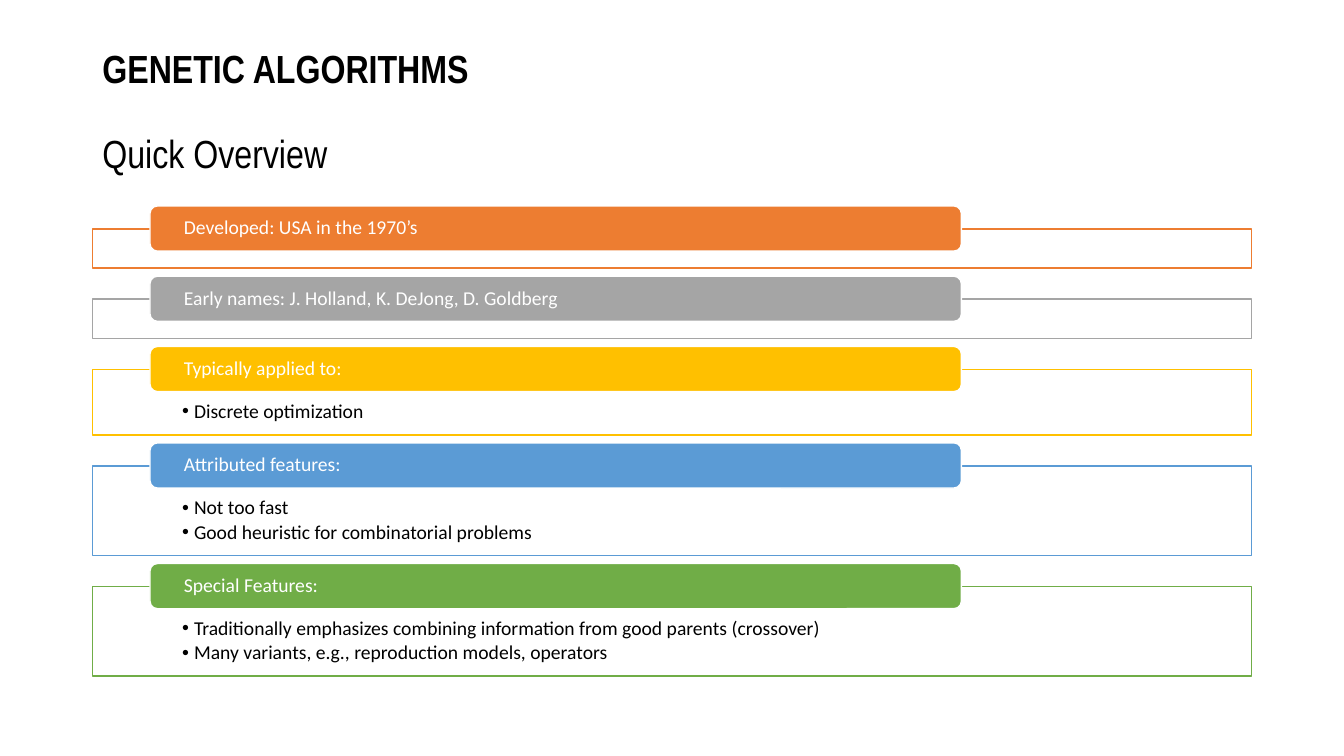
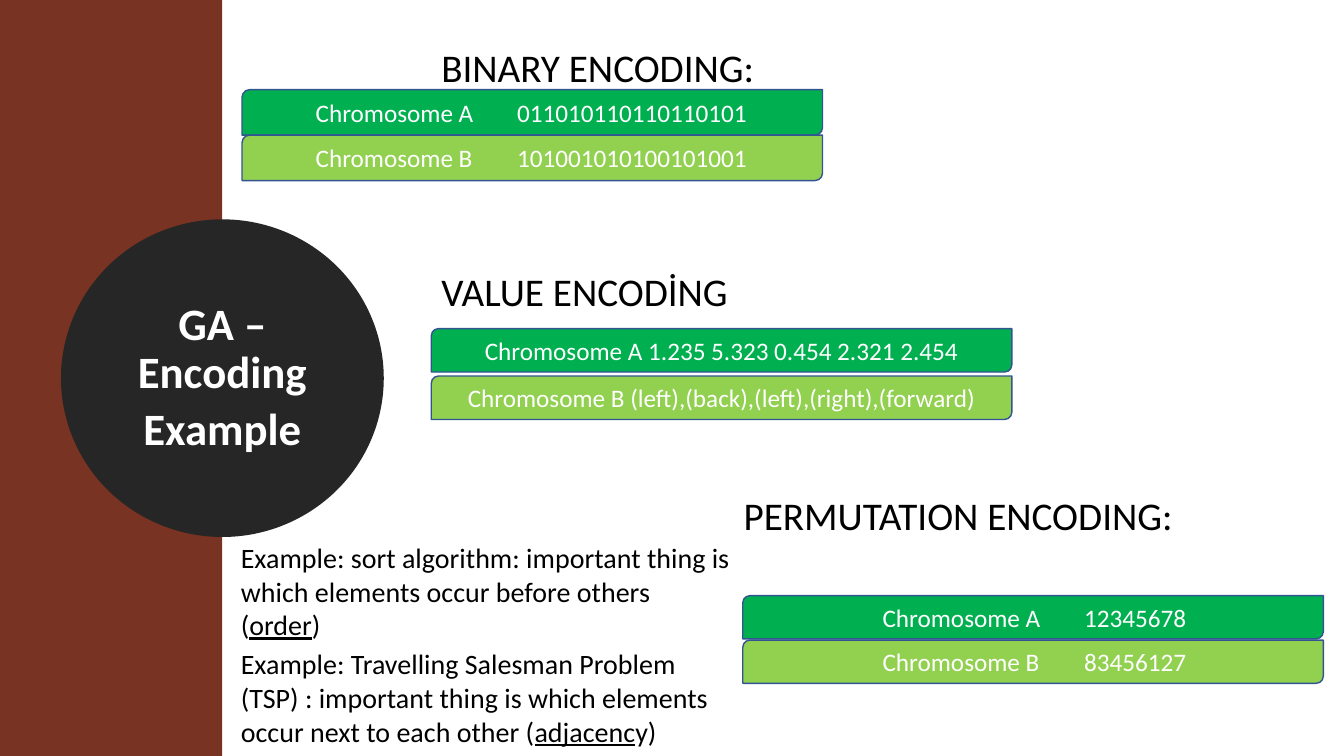
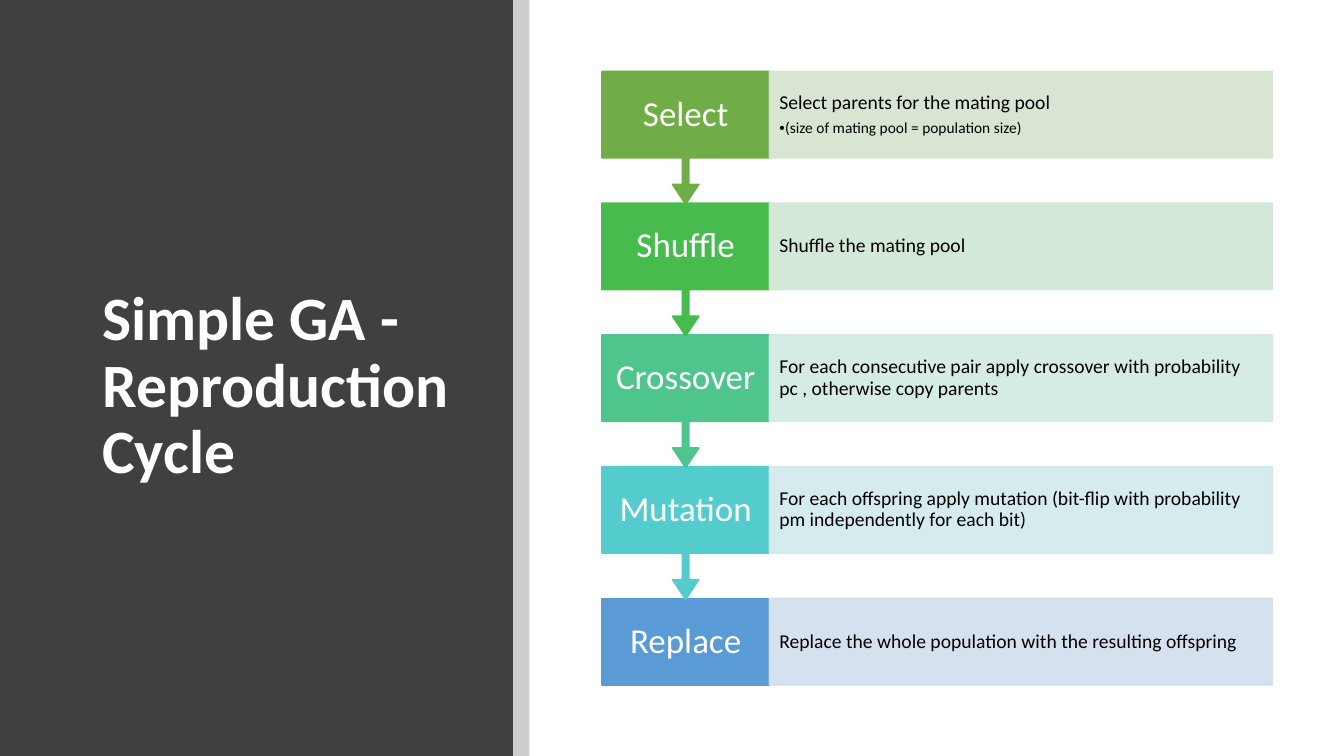
from collections import namedtuple

from pptx import Presentation
from pptx.dml.color import RGBColor
from pptx.enum.shapes import MSO_SHAPE as Shape
from pptx.enum.text import MSO_ANCHOR as Anchor, MSO_AUTO_SIZE as AutoSize, PP_ALIGN as Align
from pptx.oxml.ns import qn
from pptx.util import Cm, Pt
from lxml.etree import SubElement

Box = namedtuple("Box", "left top width height")  # centimetres

COLORS = {
    "white": "FFFFFF", "black": "000000",
    "orange": "ED7D31", "grey": "A5A5A5", "yellow": "FFC000",
    "blue": "5B9BD5", "green": "70AD47",
    "rust": "793322", "coal": "262626", "slate": "404040",
    "chromosome a": "00B050", "chromosome b": "92D050", "chromosome line": "325491",
    "shuffle": "48BB4F", "crossover": "4DC58D", "mutation": "54CCCD",
    "select tint": "D5E3CF", "shuffle tint": "D0E6D4", "crossover tint": "D0EAE1",
    "mutation tint": "D1E9ED", "replace tint": "D2DEEF",
}
SLIDE = Box(0, 0, 33.87, 19.05)
TITLE_ONLY, TITLE_AND_BODY = 5, 1


def rgb(name):
    return RGBColor.from_string(COLORS[name])


def place(shape, box):
    shape.left, shape.top, shape.width, shape.height = (Cm(length) for length in box)


def add_block(page, kind, box, fill, line=None, line_width=1, opacity=100):
    """Add a flat preset shape; opacity in percent covers fill and line."""
    block = page.shapes.add_shape(kind, *(Cm(length) for length in box))
    block.shadow.inherit = False
    block.fill.solid()
    block.fill.fore_color.rgb = rgb(fill)
    if line:
        block.line.color.rgb = rgb(line)
        block.line.width = Pt(line_width)
    else:
        block.line.fill.background()
    if opacity < 100:
        for color in block._element.spPr.iter(qn("a:srgbClr")):
            SubElement(color, qn("a:alpha")).set("val", str(opacity * 1000))
    return block


def set_frame(shape, anchor=Anchor.MIDDLE, left=0.25, top=0.13, right=0.25, bottom=0.13):
    frame = shape.text_frame
    frame.word_wrap = True
    frame.auto_size = AutoSize.NONE
    frame.vertical_anchor = anchor
    frame.margin_left, frame.margin_top = Cm(left), Cm(top)
    frame.margin_right, frame.margin_bottom = Cm(right), Cm(bottom)
    return frame


def write(frame, text, size=14, color="black", font="Calibri", bold=False, align=Align.LEFT,
          line=0.9, before=0, after=0, indent=0, bullet=False, tab=None, underline=None):
    """Add one paragraph; indent and tab are centimetres, underline is a part of the text."""
    para = frame.add_paragraph() if frame.text else frame.paragraphs[0]
    para.alignment = align
    para.line_spacing = line
    para.space_before, para.space_after = Pt(before), Pt(after)
    props = para._p.get_or_add_pPr()
    props.set("marL", str(Cm(indent)))
    props.set("indent", str(-Cm(indent) if bullet else 0))
    if bullet:
        SubElement(props, qn("a:buFont")).set("typeface", "Arial")
        SubElement(props, qn("a:buChar")).set("char", "•")
    else:
        SubElement(props, qn("a:buNone"))
    if tab:
        stop = SubElement(SubElement(props, qn("a:tabLst")), qn("a:tab"))
        stop.set("pos", str(Cm(tab)))
        stop.set("algn", "l")
    for part in text.partition(underline) if underline else (text,):
        span = para.add_run()
        span.text = part
        span.font.name, span.font.size = font, Pt(size)
        span.font.bold = bold
        span.font.underline = part == underline
        span.font.color.rgb = rgb(color)


def title_frame(page, box):
    """Move the title above the shapes drawn so far and return its text frame."""
    title = page.shapes.title
    place(title, box)
    page.shapes._spTree.append(title._element)
    return set_frame(title)


# Overview

def add_topic(page, box, heading, bullets, color):
    """Outlined panel whose heading tab straddles the top edge."""
    panel = add_block(page, Shape.RECTANGLE, box, "white", color)
    frame = set_frame(panel, Anchor.TOP, left=2.26, top=0.81, right=2.26, bottom=0.28)
    for text in bullets:
        write(frame, text, after=2.1, indent=0.3, bullet=True)
    tab_box = Box(box.left + 1.45, box.top - 0.58, 20.45, 1.14)
    tab = add_block(page, Shape.ROUNDED_RECTANGLE, tab_box, color, "white")
    write(set_frame(tab, left=0.8, top=0, bottom=0), heading, color="white")


def build_overview(deck):
    page = deck.slides.add_slide(deck.slide_layouts[TITLE_ONLY])
    frame = title_frame(page, Box(2.33, 1.01, 29.21, 3.68))
    write(frame, "GENETIC ALGORITHMS", size=28, font="Arial Narrow", bold=True)
    write(frame, "Quick Overview", size=28, font="Arial Narrow", before=30.4)
    topics = [
        ("Developed: USA in the 1970’s", [], "orange"),
        ("Early names: J. Holland, K. DeJong, D. Goldberg", [], "grey"),
        ("Typically applied to:", ["Discrete optimization"], "yellow"),
        ("Attributed features:",
         ["Not too fast", "Good heuristic for combinatorial problems"], "blue"),
        ("Special Features:",
         ["Traditionally emphasizes combining information from good parents (crossover)",
          "Many variants, e.g., reproduction models, operators"], "green"),
    ]
    top = 5.77
    for heading, bullets, color in topics:
        height = 1.04 + 0.61 * len(bullets) if bullets else 0.99
        add_topic(page, Box(2.33, top, 29.21, height), heading, bullets, color)
        top += height + 0.78


# Encodings

def add_chromosomes(page, box, texts, gap=0, inset=None, tab=None):
    """Two stacked bars; with an inset the text starts there, otherwise it is centred."""
    height = (box.height - gap) / 2
    for index, (text, color) in enumerate(zip(texts, ("chromosome a", "chromosome b"))):
        bar_box = Box(box.left, box.top + index * (height + gap), box.width, height)
        bar = add_block(page, Shape.ROUND_2_DIAG_RECTANGLE, bar_box, color, "chromosome line")
        frame = set_frame(bar, left=inset or 0.25)
        write(frame, text, size=18, color="white", line=1, tab=tab,
              align=Align.LEFT if inset else Align.CENTER)


def add_badge_title(page, box, lines):
    add_block(page, Shape.OVAL, box, "coal", "coal", line_width=13.75)
    side = 0.146
    inner = Box(box.left + side * box.width, box.top + side * box.height,
                box.width * (1 - 2 * side), box.height * (1 - 2 * side))
    frame = title_frame(page, inner)
    for text in lines:
        write(frame, text, size=32, color="white", bold=True, align=Align.CENTER, after=6)


def build_encodings(deck):
    page = deck.slides.add_slide(deck.slide_layouts[TITLE_AND_BODY])
    body = page.placeholders[1]
    place(body, Box(10.87, 1.09, 22.48, 16.84))
    frame = set_frame(body, Anchor.TOP)
    headings = [("BINARY ENCODING:", 0, 0), ("VALUE ENCODİNG", 130, 0),
                ("PERMUTATION ENCODING:", 130, 7.62)]
    for text, before, indent in headings:
        write(frame, text, size=28, before=before, indent=indent)

    add_block(page, Shape.RECTANGLE, Box(0, 0, 5.6, SLIDE.height), "rust")
    add_badge_title(page, Box(1.78, 5.77, 7.65, 7.52), ["GA – Encoding", "Example"])

    add_chromosomes(page, Box(6.1, 2.26, 14.63, 2.29),
                    ["Chromosome A\t011010110110110101", "Chromosome B\t101001010100101001"],
                    inset=1.8, tab=5)
    add_chromosomes(page, Box(10.87, 8.28, 14.63, 2.29),
                    ["Chromosome A 1.235 5.323 0.454 2.321 2.454",
                     "Chromosome B (left),(back),(left),(right),(forward)"], gap=0.1)
    add_chromosomes(page, Box(18.72, 15.01, 14.63, 2.21),
                    ["Chromosome A\t12345678", "Chromosome B\t83456127"],
                    gap=0.03, inset=3.47, tab=4.9)

    notes = page.shapes.add_textbox(0, 0, 0, 0)
    place(notes, Box(5.82, 13.49, 12.88, 5.38))
    frame = set_frame(notes, Anchor.TOP)
    write(frame, "Example: sort algorithm: important thing is which elements occur "
          "before others (order)", size=20, line=1, underline="order")
    write(frame, "Example: Travelling Salesman Problem (TSP) : important thing is which "
          "elements occur next to each other (adjacency)", size=20, line=1, before=4,
          underline="adjacenc")


# Reproduction cycle

def add_step(page, box, name, details, color, tint, arrow_height):
    """Named box, pointing down when arrow_height is given, with its description."""
    name_width = 4.22
    kind = Shape.DOWN_ARROW_CALLOUT if arrow_height else Shape.RECTANGLE
    name_box = Box(box.left, box.top, name_width, box.height + arrow_height)
    label = add_block(page, kind, name_box, color, color)
    if arrow_height:
        body_share = box.height / name_box.height
        for index, value in enumerate((0.05, 0.1, 0.15, body_share)):
            label.adjustments[index] = value
    write(set_frame(label, left=0.1, top=0, right=0.1, bottom=0), name, size=25,
          color="white", align=Align.CENTER)

    text_box = Box(box.left + name_width, box.top, box.width - name_width, box.height)
    panel = add_block(page, Shape.RECTANGLE, text_box, tint, tint, opacity=90)
    frame = set_frame(panel)
    first, *rest = details
    write(frame, first, after=4.9)
    for text in rest:
        write(frame, text, size=11, after=1.7, indent=0.15, bullet=True)


def build_cycle(deck):
    page = deck.slides.add_slide(deck.slide_layouts[TITLE_ONLY])
    side = Box(0, 0, 12.93, SLIDE.height)
    add_block(page, Shape.RECTANGLE, side, "slate")
    add_block(page, Shape.RECTANGLE, Box(side.width, 0, 0.41, SLIDE.height), "black", opacity=20)
    write(title_frame(page, Box(2.33, 2.26, 9.28, 15.01)), "Simple GA - Reproduction Cycle",
          size=44, color="white", bold=True, after=6)
    steps = [
        ("Select", ["Select parents for the mating pool",
                    "(size of mating pool = population size)"], "green", "select tint"),
        ("Shuffle", ["Shuffle the mating pool"], "shuffle", "shuffle tint"),
        ("Crossover", ["For each consecutive pair apply crossover with probability pc , "
                       "otherwise copy parents"], "crossover", "crossover tint"),
        ("Mutation", ["For each offspring apply mutation (bit-flip with probability pm "
                      "independently for each bit)"], "mutation", "mutation tint"),
        ("Replace", ["Replace the whole population with the resulting offspring"],
         "blue", "replace tint"),
    ]
    last = len(steps) - 1
    for index, step in reversed(list(enumerate(steps))):  # arrow tips lie over the next box
        box = Box(15.17, 1.8 + index * 3.32, 16.9, 2.18)
        add_step(page, box, *step, arrow_height=1.17 if index < last else 0)


def main():
    deck = Presentation()
    deck.slide_width, deck.slide_height = Cm(SLIDE.width), Cm(SLIDE.height)
    build_overview(deck)
    build_encodings(deck)
    build_cycle(deck)
    deck.save("out.pptx")


if __name__ == "__main__":
    main()
